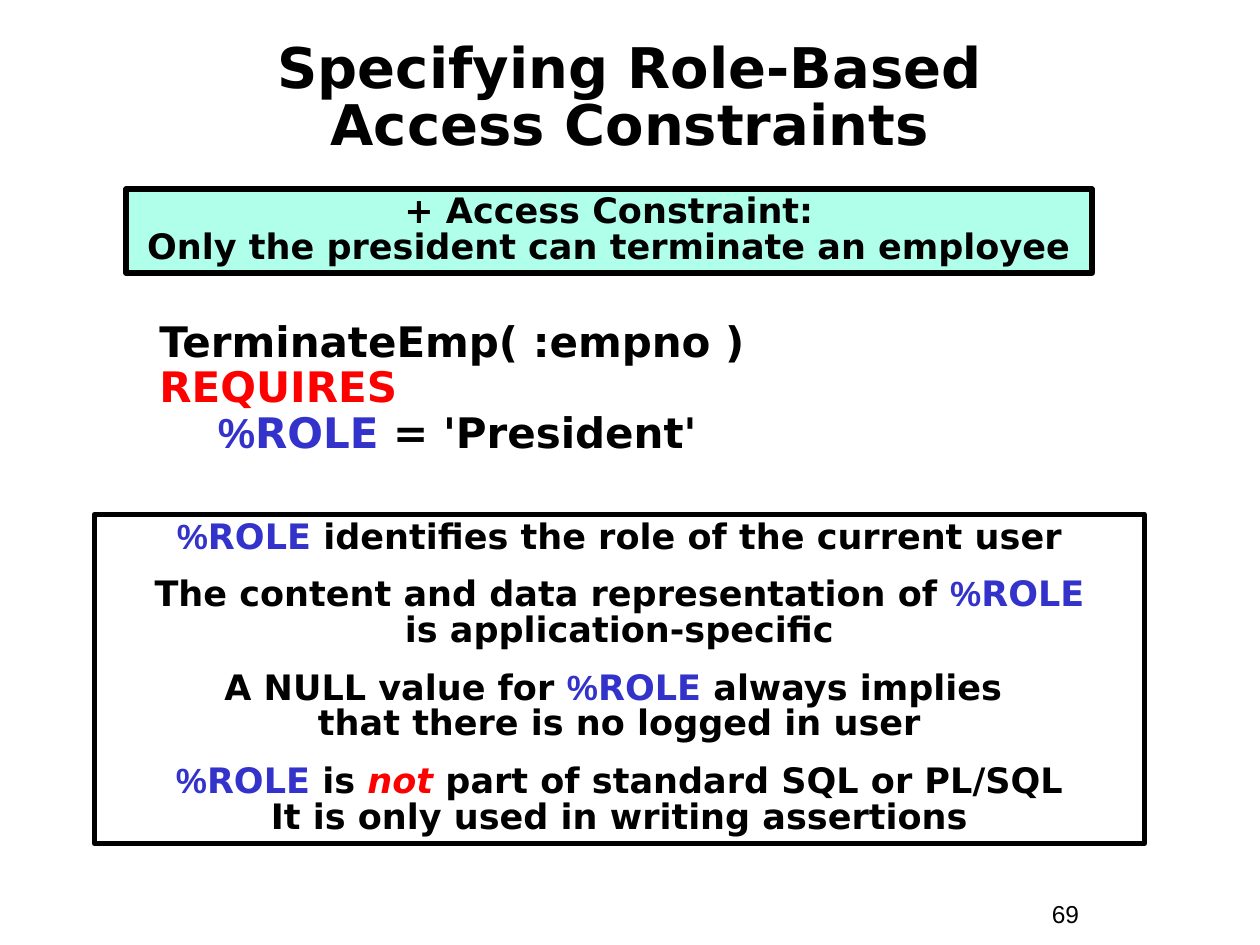
from pptx import Presentation
from pptx.dml.color import RGBColor
from pptx.enum import shapes, text
from pptx.util import Pt

BLACK = RGBColor(0x00, 0x00, 0x00)
RED = RGBColor(0xFF, 0x00, 0x00)
BLUE = RGBColor(0x33, 0x33, 0xCC)
MINT = RGBColor(0xAF, 0xFF, 0xEA)
MAIN_FONT = "DejaVu Sans"
SIGN_FONT = "Arial"

# A span is its text, followed by the format that differs from the paragraph's
ROLE = [("%", {"color": BLUE, "font": SIGN_FONT}), ("ROLE", {"color": BLUE})]


def plain(words, **style):
    return [(words, style)]


def add_run(paragraph, words, size=20, font=MAIN_FONT, color=BLACK, bold=True, italic=False):
    """Add words in one format; a newline becomes a line break."""
    for number, line in enumerate(words.split("\n")):
        if number:
            paragraph.add_line_break()
        if line:
            run = paragraph.add_run()
            run.text = line
            run.font.size = Pt(size)
            run.font.name = font
            run.font.bold = bold
            run.font.italic = italic
            run.font.color.rgb = color


def write_text(shape, paragraphs, align=text.PP_ALIGN.CENTER, anchor=text.MSO_ANCHOR.TOP,
               spacing=0.85, before=0, **style):
    """Fill a shape with paragraphs, each a list of spans."""
    frame = shape.text_frame
    frame.word_wrap = True
    frame.vertical_anchor = anchor
    for number, spans in enumerate(paragraphs):
        paragraph = frame.add_paragraph() if number else frame.paragraphs[0]
        paragraph.alignment = align
        paragraph.line_spacing = spacing
        paragraph.space_before = Pt(before)
        for words, changes in spans:
            add_run(paragraph, words, **{**style, **changes})
    return frame


def add_text_box(slide, box, paragraphs, **style):
    shape = slide.shapes.add_textbox(*map(Pt, box))
    return write_text(shape, paragraphs, **style)


def add_framed_box(slide, box, paragraphs, fill=None):
    shape = slide.shapes.add_shape(shapes.MSO_SHAPE.RECTANGLE, *map(Pt, box))
    shape.shadow.inherit = False
    if fill is None:
        shape.fill.background()
    else:
        shape.fill.solid()
        shape.fill.fore_color.rgb = fill
    shape.line.color.rgb = BLACK
    shape.line.width = Pt(3)
    write_text(shape, paragraphs, before=12.5)


def add_title(slide, box):
    add_text_box(slide, box, [plain("Specifying Role-Based\nAccess Constraints")],
                 anchor=text.MSO_ANCHOR.MIDDLE, size=32)


def add_constraint(slide, box):
    add_framed_box(slide, box, [
        plain("+ Access Constraint:\nOnly the president can terminate an employee"),
    ], fill=MINT)


def add_assertion(slide, box):
    frame = add_text_box(slide, box, [
        plain("TerminateEmp( :empno )"),
        plain("REQUIRES", color=RED),
        ROLE + plain(" = 'President'"),
    ], align=text.PP_ALIGN.LEFT, spacing=0.9, size=24)
    # The condition is indented below its keyword
    properties = frame.paragraphs[-1]._p.get_or_add_pPr()
    properties.set("marL", str(Pt(33.4)))
    properties.set("indent", "0")


def add_role_notes(slide, box):
    add_framed_box(slide, box, [
        ROLE + plain(" identifies the role of the current user"),
        plain("The content and data representation of ") + ROLE
        + plain("\nis application-specific"),
        plain("A NULL value for ") + ROLE
        + plain(" always implies \nthat there is no logged in user"),
        ROLE + plain(" is ") + plain("not", color=RED, italic=True)
        + plain(" part of standard SQL or PL/SQL\nIt is only used in writing assertions"),
    ])


def add_page_number(slide, box):
    add_text_box(slide, box, [plain("69")], align=text.PP_ALIGN.LEFT, spacing=1.0,
                 before=8.8, size=14, font=SIGN_FONT, bold=False)


def main():
    presentation = Presentation()
    presentation.slide_width = Pt(720)
    presentation.slide_height = Pt(540)
    slide = presentation.slides.add_slide(presentation.slide_layouts[6])

    # Boxes are left, top, width, height
    add_page_number(slide, (594, 510, 66, 24.5))
    add_title(slide, (24, 24, 672, 66))
    add_assertion(slide, (84, 180, 546, 96))
    add_constraint(slide, (72, 108, 552, 48))
    add_role_notes(slide, (54, 294, 600, 188))

    presentation.save("out.pptx")


if __name__ == "__main__":
    main()
